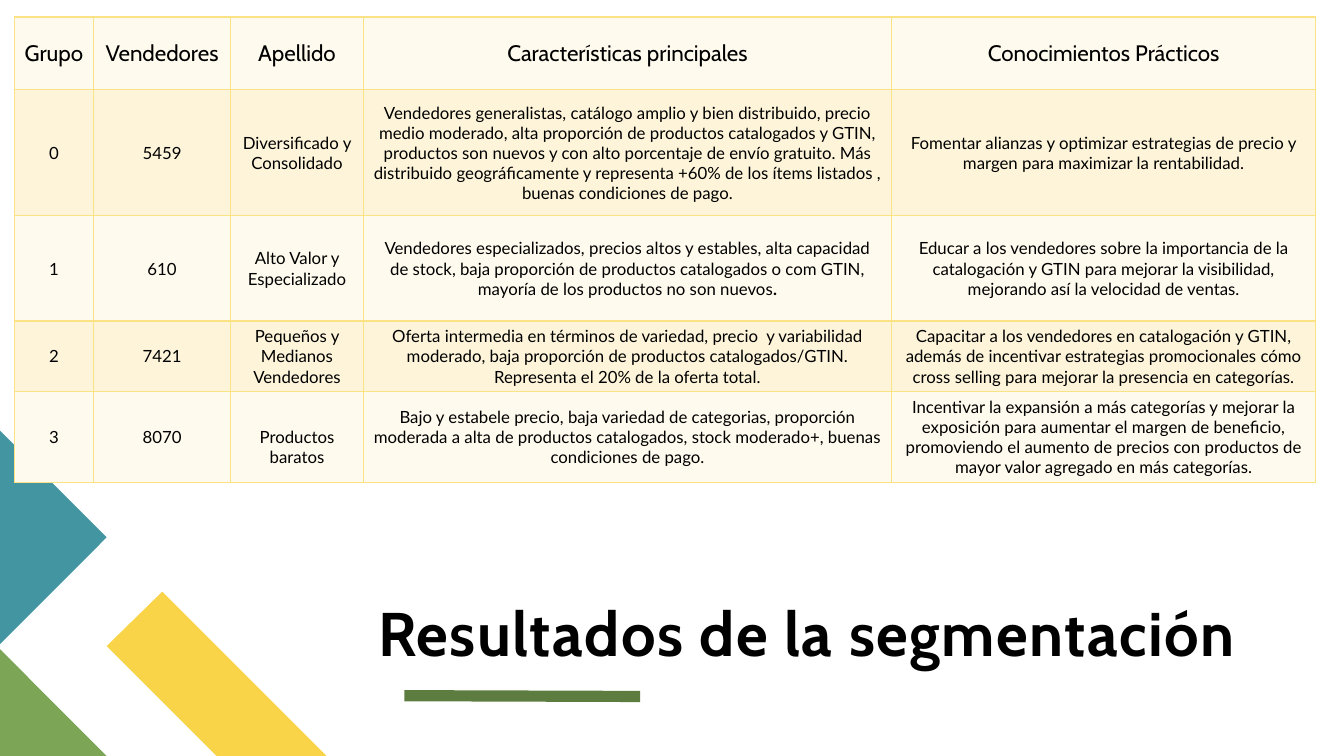
from lxml import etree
from pptx import Presentation
from pptx import util as u
from pptx.dml.color import RGBColor
from pptx.enum import shapes, text
from pptx.oxml.ns import qn

COLORS = {
    "yellow": "F9D448", "green": "7CA655", "teal": "4495A2", "rule": "5D7D40",
    "border": "FBE284", "light": "FEFAED", "cream": "FDF4D9", "ink": "000000",
}
COLUMN_WIDTHS = [2, 3.45, 3.35, 13.31, 10.69]
ROW_HEIGHTS = [1.83, 3.18, 2.65, 1.78, 2.29]
SEGMENTS = [
    ["Grupo", "Vendedores", "Apellido", "Características principales", "Conocimientos Prácticos"],
    ["0", "5459", "Diversificado y Consolidado",
     "Vendedores generalistas, catálogo amplio y bien distribuido, precio medio moderado, "
     "alta proporción de productos catalogados y GTIN, productos son nuevos y con alto "
     "porcentaje de envío gratuito. Más distribuido geográficamente y representa +60% de "
     "los ítems listados , buenas condiciones de pago.",
     "Fomentar alianzas y optimizar estrategias de precio y margen para maximizar la rentabilidad."],
    ["1", "610", "Alto Valor y Especializado",
     "Vendedores especializados, precios altos y estables, alta capacidad de stock, baja "
     "proporción de productos catalogados o com GTIN, mayoría de los productos no son nuevos",
     "Educar a los vendedores sobre la importancia de la catalogación y GTIN para mejorar la "
     "visibilidad, mejorando así la velocidad de ventas."],
    ["2", "7421", "Pequeños y Medianos Vendedores",
     "Oferta intermedia en términos de variedad, precio  y variabilidad moderado, baja "
     "proporción de productos catalogados/GTIN. Representa el 20% de la oferta total.",
     "Capacitar a los vendedores en catalogación y GTIN, además de incentivar estrategias "
     "promocionales cómo cross selling para mejorar la presencia en categorías."],
    ["3", "8070", "Productos baratos",
     "Bajo y estabele precio, baja variedad de categorias, proporción moderada a alta de "
     "productos catalogados, stock moderado+, buenas condiciones de pago.",
     "Incentivar la expansión a más categorías y mejorar la exposición para aumentar el margen "
     "de beneficio, promoviendo el aumento de precios con productos de mayor valor agregado "
     "en más categorías."],
]


class SlideBuilder:
    """Draws styled elements, measured in centimetres, on the current slide."""

    def __init__(self, slide):
        self.slide = slide

    def color(self, name):
        return RGBColor.from_string(COLORS[name])

    def style(self, run, face, size, bold=False):
        run.font.name, run.font.size, run.font.bold = face, u.Pt(size), bold
        run.font.color.rgb = self.color("ink")

    def polygon(self, points, fill):
        corners = [(u.Cm(x), u.Cm(y)) for x, y in points]
        outline = self.slide.shapes.build_freeform(*corners[0])
        outline.add_line_segments(corners[1:], close=True)
        band = outline.convert_to_shape()
        band.shadow.inherit = False
        band.fill.solid()
        band.fill.fore_color.rgb = self.color(fill)
        band.line.fill.background()

    def rule(self, start, end, color, width):
        underline = self.slide.shapes.add_connector(
            shapes.MSO_CONNECTOR.STRAIGHT, *(u.Cm(v) for v in (*start, *end)))
        underline.line.color.rgb = self.color(color)
        underline.line.width = u.Pt(width)
        etree.SubElement(underline._element.spPr, qn("a:effectLst"))

    def title(self, wording, box):
        frame = self.slide.shapes.add_textbox(*(u.Cm(v) for v in box)).text_frame
        frame.word_wrap = True
        frame.vertical_anchor = text.MSO_ANCHOR.BOTTOM
        frame.margin_left = frame.margin_right = frame.margin_top = frame.margin_bottom = 0
        frame.text = wording
        heading = frame.paragraphs[0]
        heading.line_spacing = 0.8
        self.style(heading.runs[0], "Cabin", 44, True)
        heading.runs[0].font._element.set("spc", "100")

    def border(self, cell):
        for side in ("a:lnL", "a:lnR", "a:lnT", "a:lnB"):
            edge = etree.SubElement(cell._tc.get_or_add_tcPr(), qn(side), w=str(u.Pt(1)))
            paint = etree.SubElement(edge, qn("a:solidFill"))
            etree.SubElement(paint, qn("a:srgbClr"), val=COLORS["border"])

    def fill_cell(self, cell, wording, fill, face, size):
        self.border(cell)
        cell.fill.solid()
        cell.fill.fore_color.rgb = self.color(fill)
        cell.vertical_anchor = text.MSO_ANCHOR.MIDDLE
        paragraph = cell.text_frame.paragraphs[0]
        paragraph.text = wording
        paragraph.alignment = text.PP_ALIGN.CENTER
        self.style(paragraph.runs[0], face, size)

    def table(self, rows, left, top, widths, heights):
        grid = self.slide.shapes.add_table(
            len(rows), len(widths), u.Cm(left), u.Cm(top),
            u.Cm(sum(widths)), u.Cm(sum(heights))).table
        grid.first_row = grid.horz_banding = False
        for column, width in zip(grid.columns, widths):
            column.width = u.Cm(width)
        for r, (wordings, height) in enumerate(zip(rows, heights)):
            grid.rows[r].height = u.Cm(height)
            face, size = ("Lato", 12) if r else ("Cabin", 16)
            for c, wording in enumerate(wordings):
                self.fill_cell(grid.cell(r, c), wording, ("light", "cream")[r % 2], face, size)
        return grid


def main():
    deck = Presentation()
    deck.slide_width, deck.slide_height = u.Cm(33.87), u.Cm(19.05)
    builder = SlideBuilder(deck.slides.add_slide(deck.slide_layouts[6]))

    builder.polygon([(8.23, 19.05), (5.46, 19.05), (2.69, 16.28), (4.09, 14.91)], "yellow")
    builder.polygon([(2.69, 19.05), (0, 19.05), (0, 16.36)], "green")
    builder.polygon([(0, 10.85), (2.69, 13.54), (0, 16.23)], "teal")
    builder.rule((10.19, 17.53), (16.13, 17.55), "rule", 8)
    builder.title("Resultados de la segmentación", (9.53, 13, 23.37, 3.84))

    segments = builder.table(SEGMENTS, 0.36, 0.43, COLUMN_WIDTHS, ROW_HEIGHTS)
    group_header = segments.cell(0, 0)
    group_header.margin_left = group_header.margin_right = u.Cm(0.2)
    full_stop = segments.cell(2, 3).text_frame.paragraphs[0].add_run()
    full_stop.text = "."
    builder.style(full_stop, "Lato", 12, True)
    segments.cell(4, 2).margin_top = u.Cm(0.64)

    deck.save("out.pptx")


if __name__ == "__main__":
    main()
